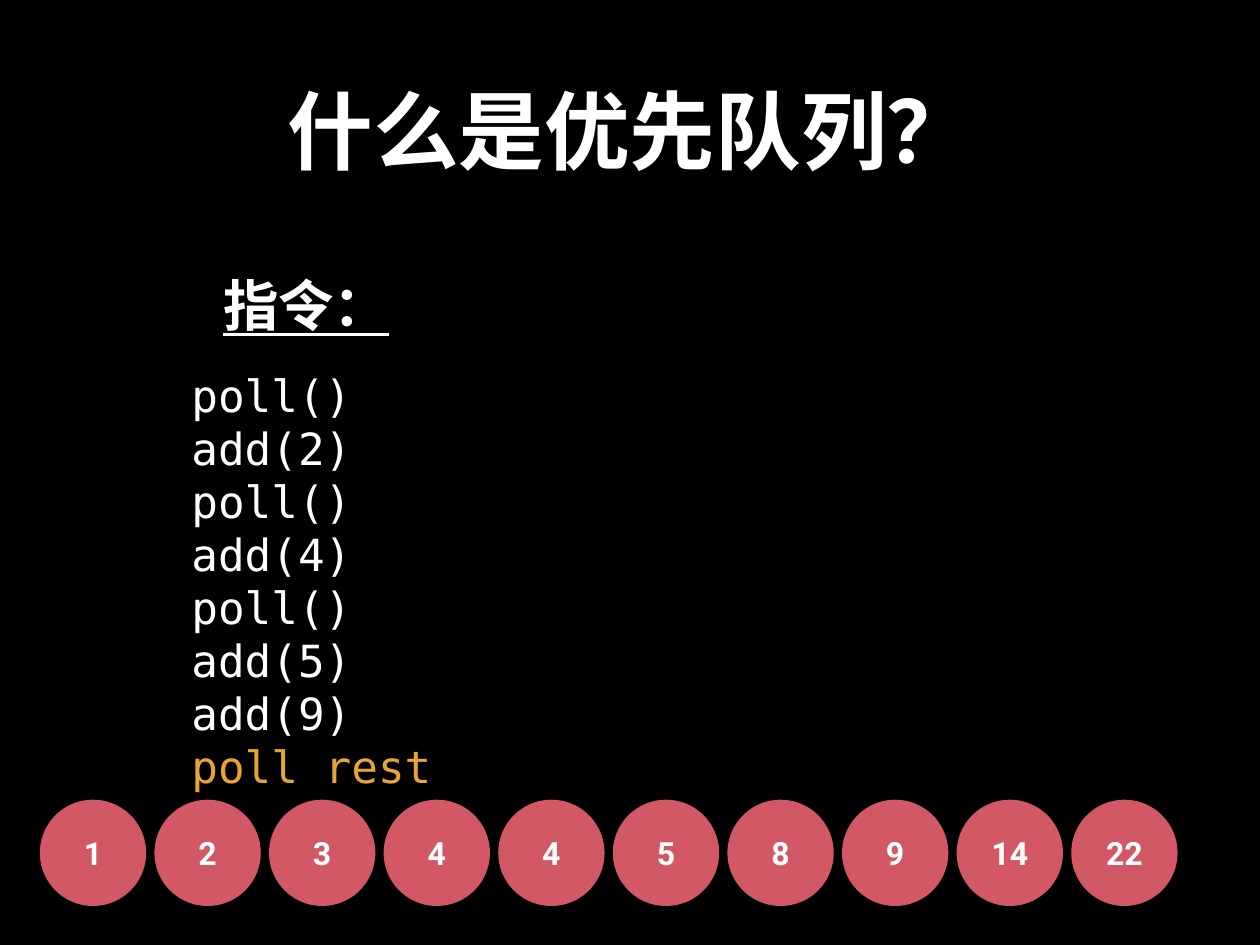
"""Build the priority queue slide: title, instruction list and row of polled values."""
import pptx
import pptx.util
import pptx.dml.color
import pptx.enum.lang
import pptx.enum.shapes
import pptx.enum.text

Pt = pptx.util.Pt
RGB = pptx.dml.color.RGBColor.from_string
ALIGN = pptx.enum.text.PP_ALIGN

TITLE = "什么是优先队列？"
HEADING = "指令："
INSTRUCTIONS = ["poll()", "add(2)", "poll()", "add(4)", "poll()", "add(5)", "add(9)"]
LAST_INSTRUCTION = "poll rest"
QUEUE = [1, 2, 3, 4, 4, 5, 8, 9, 14, 22]

THEME = {
    "background": "000000", "text": "FFFFFF", "accent": "E8A432", "ball": "D35866",
    "mono": "DejaVu Sans Mono", "sans": "Roboto",
    "title": 69.6, "heading": 45, "code": 36, "value": 26,
}
SLIDE_SIZE = (1023.84, 768.24)
INSET = 4.32
CODE_PITCH = 43.1
BALL_LEFT, BALL_TOP, BALL_SIZE, BALL_PITCH = 32.4, 650.16, 86.4, 93.12


def prepare_frame(holder, wrap=True):
    frame = holder.text_frame
    frame.word_wrap = wrap
    frame.vertical_anchor = pptx.enum.text.MSO_ANCHOR.MIDDLE
    frame.margin_left = frame.margin_right = Pt(INSET)
    frame.margin_top = frame.margin_bottom = Pt(INSET)
    return frame


def write(paragraph, words, size, face="mono", color="text", bold=True, align=ALIGN.CENTER):
    paragraph.alignment = align
    run = paragraph.add_run()
    run.text = words
    run.font.size = Pt(THEME[size])
    run.font.name = THEME[face]
    run.font.bold = bold
    run.font.color.rgb = RGB(THEME[color])
    return run


def add_label(slide, box, words, size, wrap=True):
    frame = prepare_frame(slide.shapes.add_textbox(*map(Pt, box)), wrap)
    run = write(frame.paragraphs[0], words, size)
    run.font.language_id = pptx.enum.lang.MSO_LANGUAGE_ID.SIMPLIFIED_CHINESE
    return run


def add_instructions(slide, box):
    frame = prepare_frame(slide.shapes.add_textbox(*map(Pt, box)))
    for index, instruction in enumerate(INSTRUCTIONS + [LAST_INSTRUCTION]):
        line = frame.add_paragraph() if index else frame.paragraphs[0]
        line.line_spacing = Pt(CODE_PITCH)
        color = "accent" if instruction == LAST_INSTRUCTION else "text"
        write(line, instruction, "code", color=color, bold=False, align=ALIGN.LEFT)


def add_queue(slide):
    for index, value in enumerate(QUEUE):
        ball = slide.shapes.add_shape(
            pptx.enum.shapes.MSO_SHAPE.OVAL,
            Pt(BALL_LEFT + index * BALL_PITCH), Pt(BALL_TOP), Pt(BALL_SIZE), Pt(BALL_SIZE))
        ball.shadow.inherit = False
        ball.fill.solid()
        ball.fill.fore_color.rgb = RGB(THEME["ball"])
        ball.line.fill.background()
        write(prepare_frame(ball).paragraphs[0], str(value), "value", face="sans")


def main():
    deck = pptx.Presentation()
    deck.slide_width, deck.slide_height = map(Pt, SLIDE_SIZE)
    slide = deck.slides.add_slide(deck.slide_layouts[6])
    slide.background.fill.solid()
    slide.background.fill.fore_color.rgb = RGB(THEME["background"])
    add_label(slide, (74.88, 20.16, 874.08, 169.92), TITLE, "title")
    heading = add_label(slide, (176.4, 216, 144.72, 62.64), HEADING, "heading", wrap=False)
    heading.font.underline = True
    add_instructions(slide, (151.2, 282.96, 226.08, 377.28))
    add_queue(slide)
    deck.save("out.pptx")


if __name__ == "__main__":
    main()
